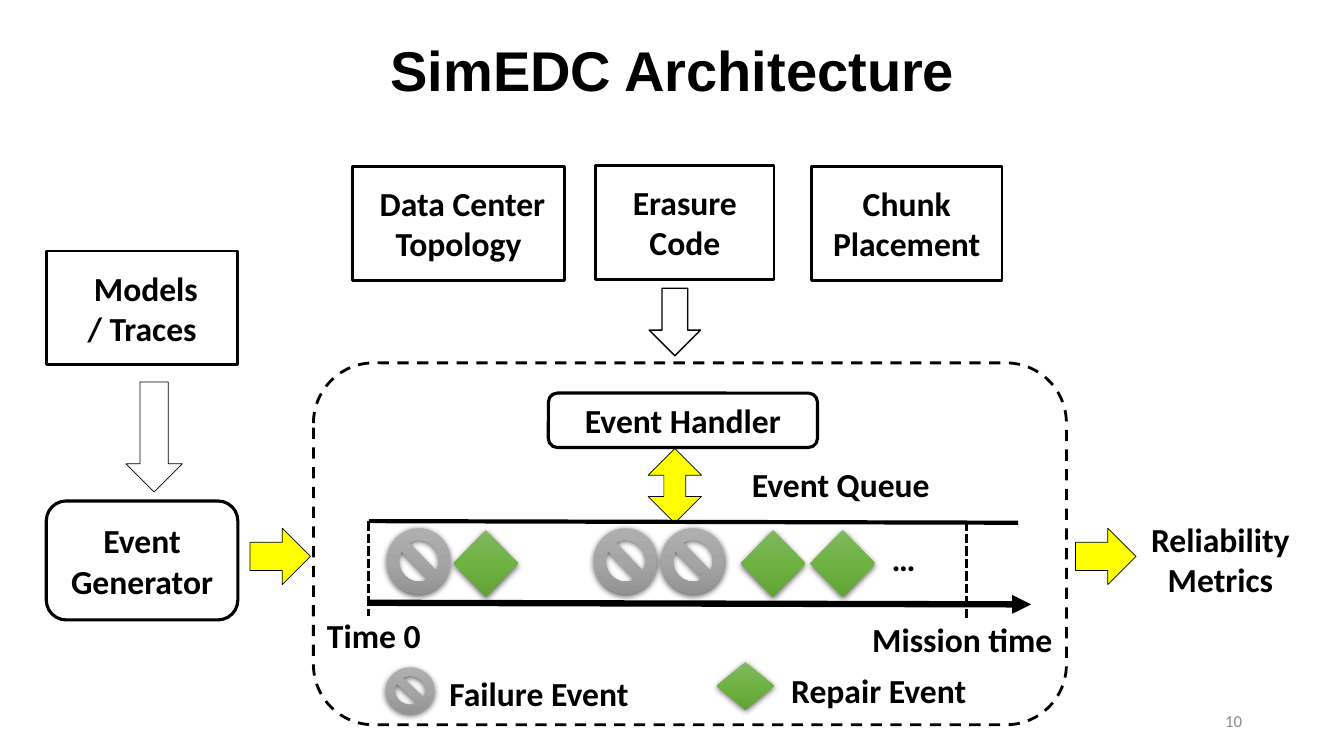
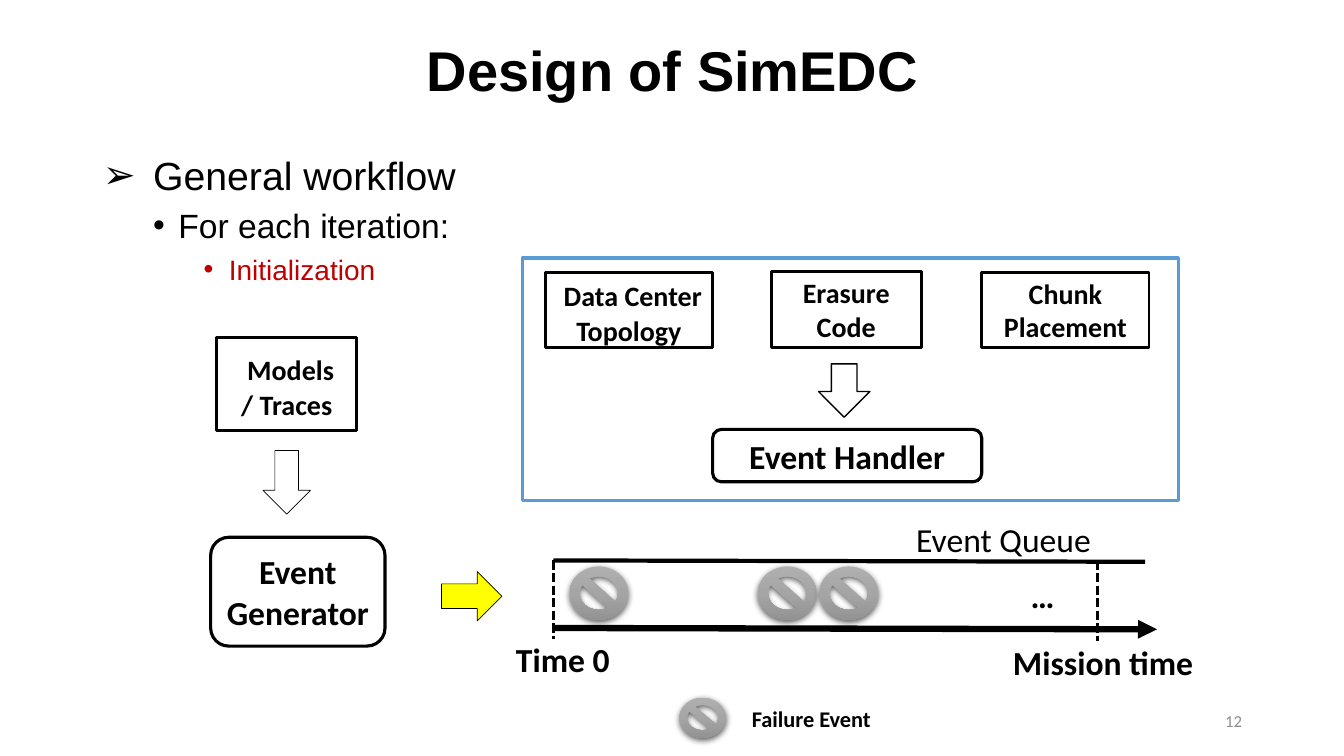
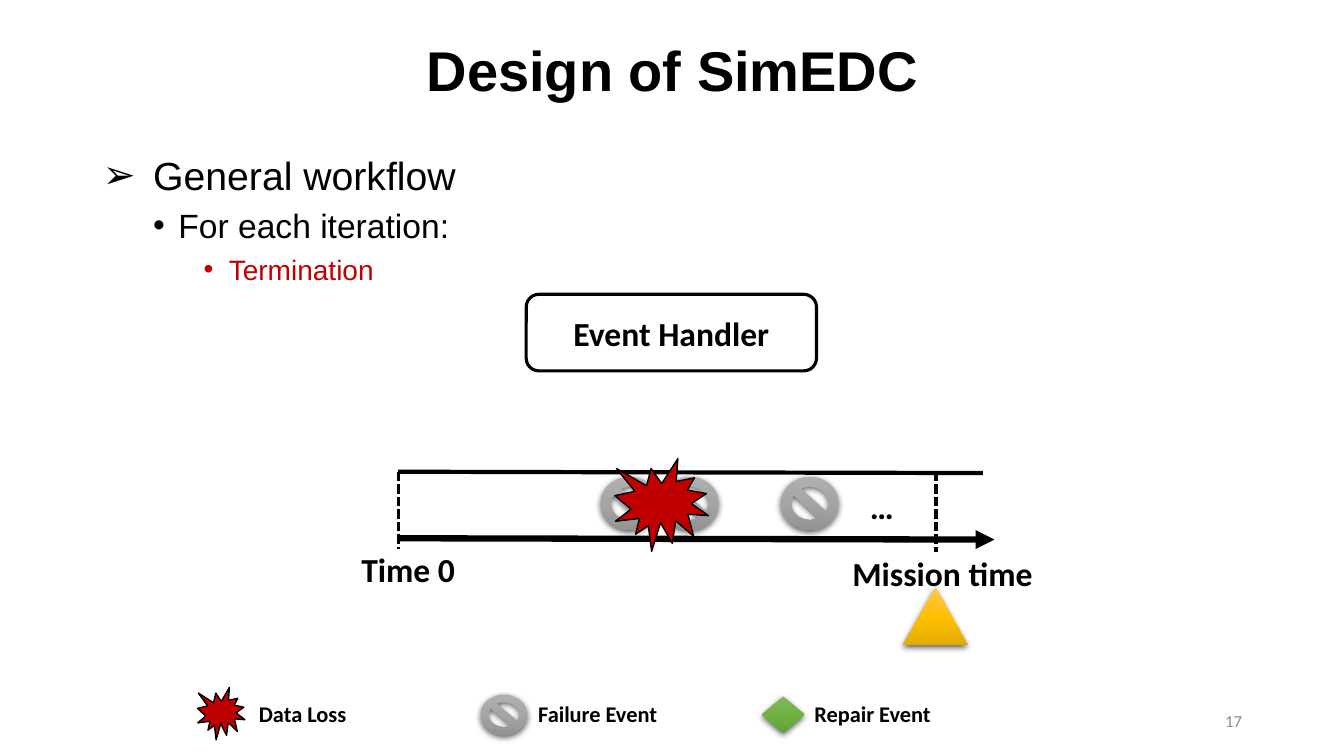
from lxml.etree import SubElement
from pptx import Presentation
from pptx.dml.color import RGBColor
from pptx.enum.dml import MSO_LINE
from pptx.enum.shapes import MSO_CONNECTOR, MSO_SHAPE as SHAPE
from pptx.enum.text import MSO_ANCHOR as ANCHOR, MSO_AUTO_SIZE, PP_ALIGN as ALIGN
from pptx.oxml.ns import qn
from pptx.util import Inches, Pt

COLORS = {
    "black": "000000",
    "white": "FFFFFF",
    "yellow": "FFFF00",
    "red": "C00000",
    "blue": "5B9BD5",
    "grey": "8C8C8C",
}
ICONS = {
    "failure": (SHAPE.NO_SYMBOL, ("AFAFAF", "A5A5A5", "939393")),
    "repair": (SHAPE.DIAMOND, ("81B861", "6FB242", "62A336")),
    "pointer": (SHAPE.ISOSCELES_TRIANGLE, ("FFC64B", "FFC000", "E3AB00")),
}
BULLETS = (
    ("➢", 28, 10, 0.5, 0.5, "black"),
    ("•", 24, 5, 0.75, 0.25, "black"),
    ("•", 20, 5, 1.25, 0.25, "red"),
)
COLUMNS, ROWS = 133.33, 75
CELL = Inches(0.1)


def cells(*counts):
    return [round(count * CELL) for count in counts]


def color(name):
    return RGBColor.from_string(COLORS[name])


class Deck:
    heading_font = "Arial"
    diagram_font = "Calibri"

    def __init__(self):
        self.presentation = Presentation()
        self.presentation.slide_width, self.presentation.slide_height = cells(COLUMNS, ROWS)
        self.slide = None

    def start(self, title, number, bullets=()):
        layout = self.presentation.slide_layouts[1 if bullets else 5]
        self.slide = self.presentation.slides.add_slide(layout)
        shape = self.slide.shapes.title
        self.place(shape, (9.2, 0, 115, 14.5))
        shape.text_frame.vertical_anchor = ANCHOR.MIDDLE
        paragraph = shape.text_frame.paragraphs[0]
        paragraph.alignment = ALIGN.CENTER
        paragraph.line_spacing = 0.9
        self.run(paragraph, title, 40, font=self.heading_font)
        if bullets:
            self.bullets(bullets)
        self.text((94.2, 69.5, 30, 4), [number], 12, bold=False, tint="grey",
                  align=ALIGN.RIGHT, anchor=ANCHOR.MIDDLE)

    def place(self, shape, box):
        shape.left, shape.top, shape.width, shape.height = cells(*box)

    def run(self, paragraph, text, size, bold=True, tint="black", font=None):
        run = paragraph.add_run()
        run.text = text
        run.font.size = Pt(size)
        run.font.bold = bold
        run.font.name = font or self.diagram_font
        run.font.color.rgb = color(tint)

    def bullets(self, lines):
        shape = self.slide.placeholders[1]
        self.place(shape, (9.2, 14.5, 115, 55))
        frame = shape.text_frame
        frame.vertical_anchor = ANCHOR.TOP
        for level, (text, style) in enumerate(zip(lines, BULLETS)):
            mark, size, space, margin, hanging, tint = style
            paragraph = frame.add_paragraph() if level else frame.paragraphs[0]
            paragraph.level = level
            paragraph.line_spacing = 1.0
            paragraph.space_before = Pt(space)
            properties = paragraph._p.get_or_add_pPr()
            properties.set("marL", str(Inches(margin)))
            properties.set("indent", str(-Inches(hanging)))
            SubElement(properties, qn("a:buFont")).set("typeface", self.heading_font)
            SubElement(properties, qn("a:buChar")).set("char", mark)
            self.run(paragraph, text, size, False, tint, self.heading_font)

    def add_lines(self, frame, lines, size, bold=True, tint="black", align=ALIGN.CENTER):
        for index, line in enumerate(lines):
            paragraph = frame.add_paragraph() if index else frame.paragraphs[0]
            paragraph.alignment = align
            pieces = [(line, size)] if isinstance(line, str) else line
            for text, piece_size in pieces:
                self.run(paragraph, text, piece_size, bold, tint)

    def text(self, box, lines, size=24, bold=True, tint="black",
             align=ALIGN.LEFT, anchor=ANCHOR.TOP, wrap=True):
        frame = self.slide.shapes.add_textbox(*cells(*box)).text_frame
        frame.word_wrap = wrap
        if not wrap:
            frame.auto_size = MSO_AUTO_SIZE.SHAPE_TO_FIT_TEXT
        frame.vertical_anchor = anchor
        self.add_lines(frame, lines, size, bold, tint, align)
        return frame

    def shape(self, kind, box, fill=None, line="black", width=2.0, lines=(), size=24,
              adjustments=(), dash=None):
        shape = self.slide.shapes.add_shape(kind, *cells(*box))
        shape.shadow.inherit = False
        if fill:
            shape.fill.solid()
            shape.fill.fore_color.rgb = color(fill)
        else:
            shape.fill.background()
        shape.line.color.rgb = color(line)
        shape.line.width = Pt(width)
        if dash:
            shape.line.dash_style = dash
        for index, value in enumerate(adjustments):
            shape.adjustments[index] = value
        shape.text_frame.vertical_anchor = ANCHOR.MIDDLE
        self.add_lines(shape.text_frame, lines, size)

    def box(self, box, lines, size=24):
        self.shape(SHAPE.RECTANGLE, box, lines=lines, size=size)

    def process(self, box, lines):
        self.shape(SHAPE.ROUNDED_RECTANGLE, box, width=2.25, lines=lines)

    def flow(self, box):
        self.shape(SHAPE.RIGHT_ARROW, box, "yellow", width=0.5)

    def feed(self, box, width):
        self.shape(SHAPE.DOWN_ARROW, box, "white", width=width)

    def burst(self, box):
        self.shape(SHAPE.EXPLOSION1, box, "red", width=1)

    def icon(self, name, box):
        kind, stops = ICONS[name]
        shape = self.slide.shapes.add_shape(kind, *cells(*box))
        shape.line.fill.background()
        shape.fill.gradient()
        shape.fill.gradient_angle = 270
        properties = shape._element.spPr
        stop_list = properties.find(".//" + qn("a:gsLst"))
        for stop in list(stop_list):
            stop_list.remove(stop)
        for index, value in enumerate(stops):
            stop = SubElement(stop_list, qn("a:gs"), pos=str(index * 50000))
            SubElement(stop, qn("a:srgbClr"), val=value)
        shape.shadow.inherit = False
        shadow = SubElement(properties.find(qn("a:effectLst")), qn("a:outerShdw"),
                            blurRad=str(Pt(4.5)), dist=str(Pt(1.5)), dir="5400000",
                            algn="ctr", rotWithShape="0")
        shade = SubElement(shadow, qn("a:srgbClr"), val=COLORS["black"])
        SubElement(shade, qn("a:alpha"), val="63000")

    def icons(self, name, lefts, top, width, height):
        for left in lefts:
            self.icon(name, (left, top, width, height))

    def line(self, start, end, width, dash=None, arrow=False):
        connector = self.slide.shapes.add_connector(
            MSO_CONNECTOR.STRAIGHT, *cells(*start, *end))
        connector.line.color.rgb = color("black")
        connector.line.width = Pt(width)
        if dash:
            connector.line.dash_style = dash
        properties = connector._element.spPr
        if arrow:
            SubElement(properties.find(qn("a:ln")), qn("a:tailEnd"), type="triangle")
        SubElement(properties, qn("a:effectLst"))

    def timeline(self, left, top, width, height):
        def x(share):
            return left + share * width

        def y(share):
            return top + share * height

        self.line((left, top), (x(1), y(0.02)), 3)
        self.line((left, y(1)), (x(1.02), y(1.02)), 4.5, arrow=True)
        for share, depth in ((0, 1.16), (0.92, 1.2)):
            self.line((x(share), top), (x(share), y(depth)), 2.25, MSO_LINE.SQUARE_DOT)
        for text, across, down, span in (("Time 0", -0.08, 1.09, 0.23),
                                         ("Mission time", 0.76, 1.14, 0.35),
                                         ("…", 0.79, 0.14, 0.16)):
            self.text((x(across), y(down), span * width, 5), [text])


def architecture(deck):
    deck.start("SimEDC Architecture", "10")
    deck.shape(SHAPE.ROUNDED_RECTANGLE, (31.1, 36, 74.7, 35.9), dash=MSO_LINE.DASH)
    deck.box((4.6, 24.9, 19, 11.3), [" Models", "/ Traces"])
    deck.box((35, 16.5, 21, 11.3), [" Data Center Topology"])
    deck.box((59.1, 16.4, 17.7, 11.3), ["Erasure Code"])
    deck.box((80.5, 16.5, 18.9, 11.3), ["Chunk Placement"])
    deck.feed((64.4, 28.6, 5.1, 6.7), 1)
    deck.feed((12.5, 37.9, 5.6, 10.9), 0.5)
    deck.process((54.4, 39, 26.7, 5.4), ["Event Handler"])
    deck.process((4.6, 49.7, 19, 11.8), ["Event", "Generator"])
    deck.shape(SHAPE.UP_DOWN_ARROW, (64.3, 44.5, 5.3, 7.4), "yellow", width=0.5,
               adjustments=(0.5, 0.41))
    for left in (24.8, 106.7):
        deck.flow((left, 52.4, 6, 5.6))
    deck.text((73.6, 45.5, 21.9, 5), ["Event Queue"])
    deck.timeline(36.6, 51.7, 64.4, 8.1)
    deck.icons("repair", (45, 73.5, 80.4), 52.6, 6.4, 6.6)
    deck.icons("failure", (38.4, 58.9, 65.6), 52.4, 6.3, 6.5)
    deck.icon("failure", (38.3, 66.2, 4.8, 4.6))
    deck.text((43.6, 66.3, 22, 5), ["Failure Event"])
    deck.icon("repair", (71.1, 65.7, 5.7, 4.7))
    deck.text((77.5, 66, 24.5, 5), ["Repair Event"])
    frame = deck.text((113.2, 51, 15.9, 9.1), ["Reliability", "Metrics"], wrap=False)
    frame.paragraphs[1].alignment = ALIGN.CENTER


def initialization(deck):
    deck.start("Design of SimEDC", "12",
               ("General workflow", "For each iteration:", "Initialization"))
    deck.shape(SHAPE.RECTANGLE, (51.8, 25.6, 65.1, 24.1), "white", "blue", 2.25)
    deck.box((54.1, 27, 16.6, 7.5), [[(" ", 24), ("Data Center Topology", 20)]])
    deck.box((76.5, 26.9, 14.9, 7.6), ["Erasure Code"], 20)
    deck.box((97.4, 27, 16.6, 7.5), ["Chunk Placement"], 20)
    deck.feed((81.2, 36.1, 5.1, 5.3), 1)
    deck.process((70.7, 42.6, 26.7, 5.2), ["Event Handler"])
    deck.box((21.5, 33.5, 13.9, 9.2), [[(" ", 24), ("Models", 20)], "/ Traces"], 20)
    deck.feed((26.1, 44.7, 4.7, 6.3), 0.5)
    deck.process((20.9, 53.3, 17.3, 10.8), ["Event", "Generator"])
    deck.flow((43.8, 56.7, 6, 4.9))
    deck.timeline(54.9, 55.6, 58.7, 6.7)
    deck.icons("failure", (56.5, 75.2, 81.3), 56.2, 5.8, 5.3)
    deck.text((89.9, 51, 21.2, 5), ["Event Queue"], bold=False)
    deck.icon("failure", (67.4, 69.2, 4.6, 4))
    deck.text((73.6, 69.5, 15.5, 3.7), ["Failure Event"], 16)


def termination(deck):
    deck.start("Design of SimEDC", "17",
               ("General workflow", "For each iteration:", "Termination"))
    deck.process((52.2, 29.2, 28.8, 7.6), ["Event Handler"])
    deck.timeline(39.5, 46.8, 58, 6.6)
    deck.icons("failure", (59.6, 65.6, 77.5), 47.3, 5.7, 5.3)
    deck.burst((61, 45.5, 9.3, 9.2))
    deck.icon("pointer", (89.6, 58.3, 6.4, 5.7))
    deck.burst((19.6, 68.2, 4.7, 5.2))
    deck.icon("failure", (47.7, 68.9, 4.6, 4))
    deck.icon("repair", (75.6, 69.1, 4.2, 3.6))
    for left, label in ((24.7, "Data Loss"), (52.4, "Failure Event"), (79.8, "Repair Event")):
        deck.text((left, 69, 15.5, 3.7), [label], 16)


def main():
    deck = Deck()
    for build in (architecture, initialization, termination):
        build(deck)
    deck.presentation.save("out.pptx")


if __name__ == "__main__":
    main()
